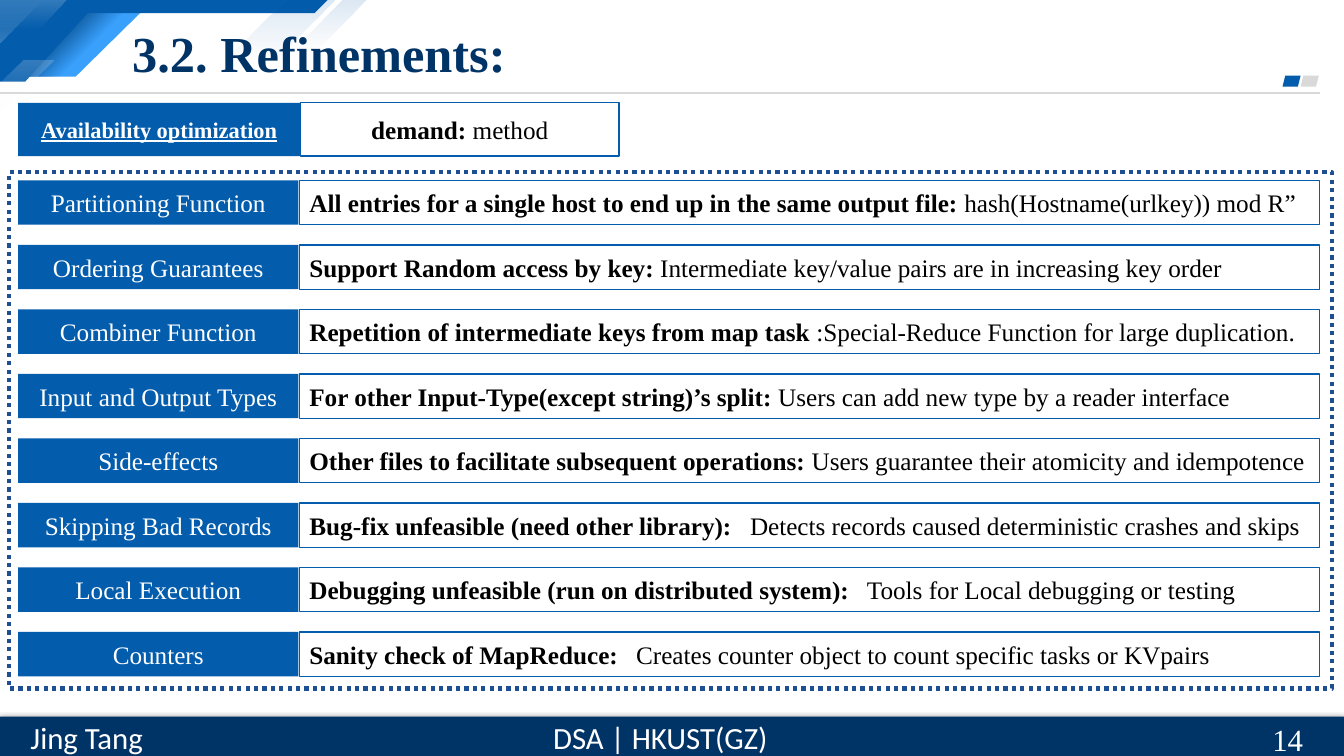
from lxml import etree
from pptx import Presentation
from pptx import util as u
from pptx.dml.color import RGBColor
from pptx.enum import dml, shapes, text
from pptx.oxml import parse_xml
from pptx.oxml.ns import nsdecls, qn


class Theme:
    blue, deep, navy, sky = "035CAC", "024581", "003366", "39A0FC"
    white, black, grey, dots = "FFFFFF", "000000", "D9D9D9", "1D4F92"
    serif, sans = "Times New Roman", "Calibri"
    title, footer, body, small = 36, 22, 18, 16


def paint(sp, fill=None, line=None, width=1):
    sp.shadow.inherit = False
    if fill is None:
        sp.fill.background()
    elif isinstance(fill, str):
        sp.fill.solid()
        sp.fill.fore_color.rgb = RGBColor.from_string(fill)
    else:
        colour, start, end, opacity, angle = fill
        sp.fill.gradient()
        sp.fill.gradient_angle = 360 - angle
        for stop, position, alpha in zip(sp.fill.gradient_stops, (start, end), (opacity, 0)):
            stop.position = position / 100
            stop.color.rgb = RGBColor.from_string(colour)
        for clr, alpha in zip(sp._element.spPr.iter(qn("a:srgbClr")), (opacity, 0)):
            etree.SubElement(clr, qn("a:alpha")).set("val", str(alpha * 1000))
    if line:
        sp.line.color.rgb = RGBColor.from_string(line)
        sp.line.width = u.Pt(width)
    else:
        sp.line.fill.background()


def write(sp, runs, size, colour, align=text.PP_ALIGN.CENTER, face=Theme.serif, wrap=True):
    tf = sp.text_frame
    tf.word_wrap = wrap
    tf.auto_size = text.MSO_AUTO_SIZE.NONE
    tf.vertical_anchor = text.MSO_ANCHOR.MIDDLE
    p = tf.paragraphs[0]
    p.alignment = align
    for words, bold in runs:
        r = p.add_run()
        r.text = words
        r.font.name = face
        r.font.size = u.Pt(size)
        r.font.bold = bold
        r.font.color.rgb = RGBColor.from_string(colour)
    return p


prs = Presentation()
prs.slide_width, prs.slide_height = u.Inches(13.33), u.Inches(7.5)
s = prs.slides.add_slide(prs.slide_layouts[5])
RECT = shapes.MSO_SHAPE.RECTANGLE
LEFT = text.PP_ALIGN.LEFT

white_fade = (Theme.white, 0, 100, 20, 90)
blue_fade = (Theme.blue, 0, 100, 15, 90)
slant = [(0.84, 0.07), (1.45, 0.07), (0.75, 0.76), (0.16, 0.76)]
bands = [
    (slant, Theme.sky),
    (slant, (Theme.deep, 29, 57, 100, 45)),
    ([(0, 0), (3.25, 0), (3.12, 0.13), (0.87, 0.13), (0.25, 0.81), (0, 0.81)], Theme.blue),
    ([(0, 0), (0.66, 0), (0.39, 0.28), (0, 0.28)], white_fade),
    ([(2.84, 0), (3.33, 0), (2.72, 0.61), (2.22, 0.61)], blue_fade),
    ([(3.4, 0), (3.64, 0), (3.15, 0.49), (2.91, 0.49)], blue_fade),
    ([(0.23, 0.6), (0.53, 0.6), (0, 1.13), (0, 0.83)], white_fade),
]
for points, fill in bands:
    outline = [(u.Inches(x), u.Inches(y)) for x, y in points]
    builder = s.shapes.build_freeform(*outline[0])
    builder.add_line_segments(outline[1:], close=True)
    paint(builder.convert_to_shape(), fill)

corner = s.shapes.add_shape(shapes.MSO_SHAPE.RIGHT_TRIANGLE, 0, 0, u.Inches(0.42), u.Inches(0.42))
paint(corner, white_fade)
corner._element.spPr.find(qn("a:xfrm")).set("flipV", "1")

rule = s.shapes.add_connector(shapes.MSO_CONNECTOR.STRAIGHT, 0, u.Inches(0.92),
                              u.Inches(13.09), u.Inches(0.92))
rule.line.color.rgb = RGBColor.from_string(Theme.grey)
rule.line.width = u.Pt(1.5)
etree.SubElement(rule._element.spPr, qn("a:effectLst"))

for left, fill in ((12.9, Theme.grey), (12.72, Theme.blue)):
    mark = s.shapes.add_shape(shapes.MSO_SHAPE.PARALLELOGRAM, u.Inches(left), u.Inches(0.75),
                              u.Inches(0.18), u.Inches(0.11))
    paint(mark, fill)

footer = s.shapes.add_shape(RECT, 0, u.Inches(7.11), u.Inches(13.33), u.Inches(0.39))
paint(footer, Theme.navy)
footer._element.spPr.find(qn("a:xfrm")).set("flipV", "1")
footer._element.spPr.find(qn("a:effectLst")).append(parse_xml(
    f'<a:outerShdw {nsdecls("a")} blurRad="57150" dist="19050" dir="5400000" rotWithShape="0">'
    f'<a:srgbClr val="{Theme.black}"><a:alpha val="63000"/></a:srgbClr></a:outerShdw>'))

for words, left, top, width, height, face, align in (
    ("DSA | HKUST(GZ)", 5.36, 7.08, 2.38, 0.47, Theme.sans, text.PP_ALIGN.CENTER),
    ("Jing Tang", 0.16, 7.08, 1.4, 0.47, Theme.sans, text.PP_ALIGN.CENTER),
    ("14", 12.52, 7.13, 0.81, 0.4, Theme.serif, LEFT),
):
    box = s.shapes.add_textbox(u.Inches(left), u.Inches(top), u.Inches(width), u.Inches(height))
    write(box, [(words, False)], Theme.footer, Theme.white, align, face, wrap=False)

title = s.shapes.title
title.left, title.top = u.Inches(1.21), u.Inches(0.17)
title.width, title.height = u.Inches(10.21), u.Inches(0.69)
write(title, [("3.2. Refinements:", True)], Theme.title, Theme.navy, LEFT)
s.shapes._spTree.append(title._element)

heading = s.shapes.add_shape(RECT, u.Inches(0.18), u.Inches(1.02), u.Inches(2.8), u.Inches(0.53))
paint(heading, Theme.blue)
p = write(heading, [("Availability optimization", True)], Theme.small, Theme.white)
p.runs[0].font.underline = True

legend = s.shapes.add_shape(RECT, u.Inches(2.98), u.Inches(1.02), u.Inches(3.16), u.Inches(0.53))
paint(legend, line=Theme.blue)
write(legend, [("demand: ", True), ("method", False)], Theme.body, Theme.black)

refinements = [
    ("Partitioning Function", "All entries for a single host to end up in the same output file: ",
     "hash(Hostname(urlkey)) mod R”", None),
    ("Ordering Guarantees", "Support Random access by key:",
     " Intermediate key/value pairs are in increasing key order", None),
    ("Combiner Function", "Repetition of intermediate keys from map task",
     " :Special-Reduce Function for large duplication.", None),
    ("Input and Output Types", "For other Input-Type(except string)’s split:",
     " Users can add new type by a reader interface", None),
    ("Side-effects", "Other files to facilitate subsequent operations:",
     " Users guarantee their atomicity and idempotence", None),
    ("Skipping Bad Records", "Bug-fix unfeasible (need other library):",
     "\tDetects records caused deterministic crashes and skips", 4.37),
    ("Local Execution", "Debugging unfeasible (run on distributed system):",
     "\tTools for Local debugging or testing", 5.53),
    ("Counters", "Sanity check of MapReduce:",
     "\tCreates counter object to count specific tasks or KVpairs", 3.24),
]
for i, (name, demand, method, tab) in enumerate(refinements):
    top = u.Inches(1.79 + 0.64 * i)
    label = s.shapes.add_shape(RECT, u.Inches(0.18), top, u.Inches(2.78), u.Inches(0.44))
    paint(label, Theme.blue)
    write(label, [(name, False)], Theme.body, Theme.white)
    detail = s.shapes.add_shape(RECT, u.Inches(2.97), top, u.Inches(10.12), u.Inches(0.44))
    paint(detail, line=Theme.blue)
    p = write(detail, [(demand, True), (method, False)], Theme.body, Theme.black, LEFT)
    if tab:
        stops = etree.SubElement(p._p.get_or_add_pPr(), qn("a:tabLst"))
        etree.SubElement(stops, qn("a:tab"), pos=str(u.Inches(tab)), algn="l")

frame = s.shapes.add_shape(RECT, u.Inches(0.09), u.Inches(1.71), u.Inches(13.12), u.Inches(5.12))
paint(frame, line=Theme.dots, width=3)
frame.line.dash_style = dml.MSO_LINE.ROUND_DOT

prs.save("out.pptx")
